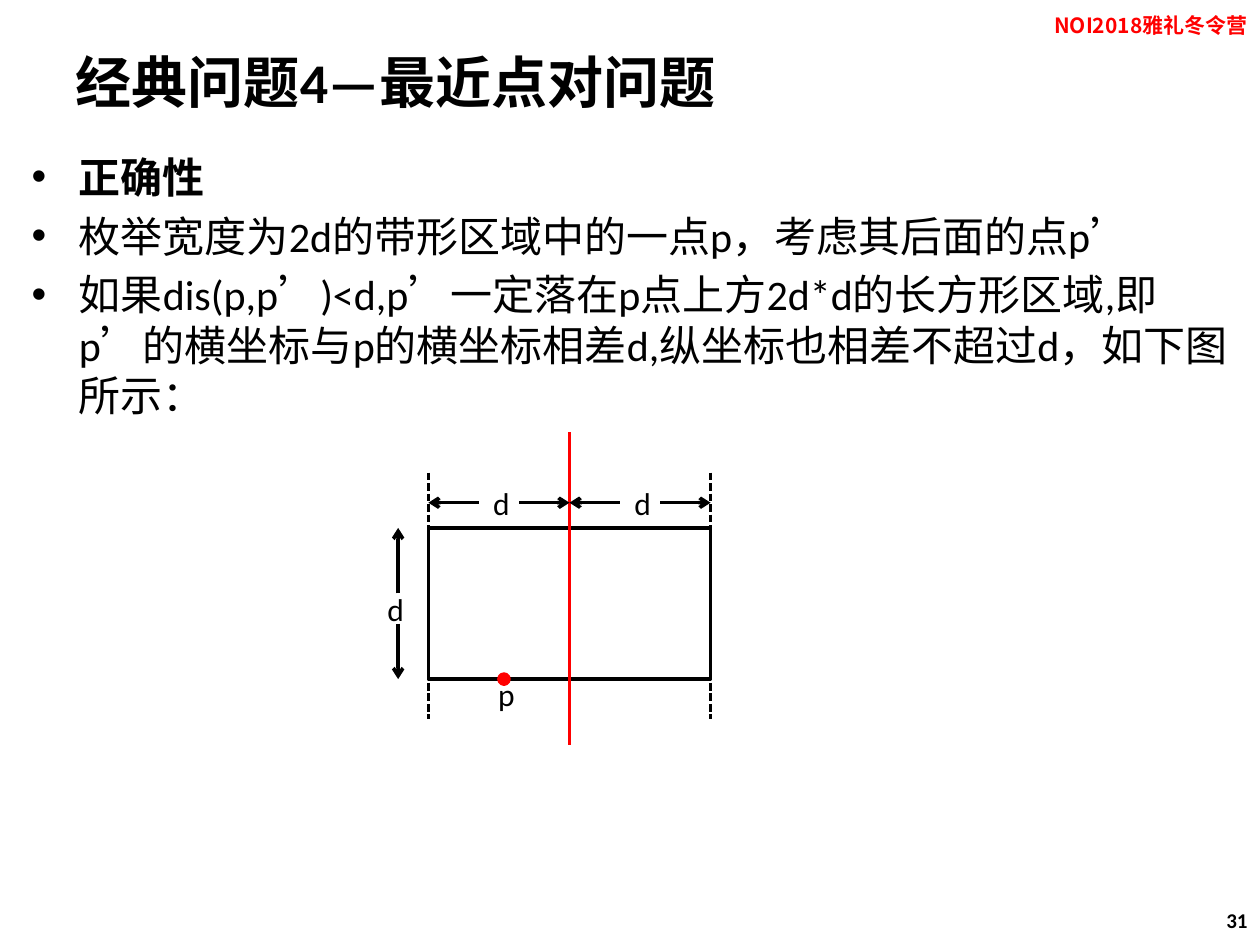
from pptx import Presentation
from pptx.dml.color import RGBColor
from pptx.enum.dml import MSO_LINE_DASH_STYLE as Dash
from pptx.enum.shapes import MSO_CONNECTOR as Connector, MSO_SHAPE as Shape
from pptx.enum.text import MSO_ANCHOR as Anchor, MSO_AUTO_SIZE as AutoSize, PP_ALIGN as Align
from pptx.oxml.ns import qn
from pptx.util import Inches, Pt
from lxml.etree import SubElement

COLORS = {"text": "000000", "accent": "FF0000"}


class SlideBuilder:
    font = "Calibri"

    def __init__(self, slide):
        self.slide = slide
        self.shapes = slide.shapes

    def color(self, name):
        return RGBColor.from_string(COLORS[name])

    def place(self, item, left, top, width, height):
        item.left, item.top = Inches(left), Inches(top)
        item.width, item.height = Inches(width), Inches(height)

    def format_runs(self, paragraph, size, bold=False, color="text", font=None):
        for run in paragraph.runs:
            run.font.name = font or self.font
            run.font.size = Pt(size)
            run.font.bold = bold
            run.font.color.rgb = self.color(color)

    def title(self, text, box):
        heading = self.shapes.title
        self.place(heading, *box)
        frame = heading.text_frame
        frame.text = text
        frame.auto_size = AutoSize.NONE
        frame.vertical_anchor = Anchor.MIDDLE
        frame.paragraphs[0].alignment = Align.LEFT
        self.format_runs(frame.paragraphs[0], 32, bold=True)

    def bullets(self, items, box):
        body = self.slide.placeholders[1]
        self.place(body, *box)
        frame = body.text_frame
        frame.text = "\n".join(items)
        frame.auto_size = AutoSize.NONE
        for index, paragraph in enumerate(frame.paragraphs):
            paragraph.space_before = Pt(4.8 if index else 0)
            self.format_runs(paragraph, 24, bold=index == 0)

    def text(self, text, box, size, align=Align.CENTER, anchor=Anchor.TOP, wrap=True, **style):
        frame = self.shapes.add_textbox(*map(Inches, box)).text_frame
        frame.word_wrap = wrap
        frame.vertical_anchor = anchor
        frame.text = text
        frame.paragraphs[0].alignment = align
        self.format_runs(frame.paragraphs[0], size, **style)

    def label(self, text, center_x, top):
        width = 0.36
        self.text(text, (center_x - width / 2, top, width, 0.4), 18, wrap=False)

    def outline(self, kind, box, color, filled=False):
        item = self.shapes.add_shape(kind, *map(Inches, box))
        item.shadow.inherit = False
        if filled:
            item.fill.solid()
            item.fill.fore_color.rgb = self.color(color)
        else:
            item.fill.background()
        item.line.color.rgb = self.color(color)
        item.line.width = Pt(2)

    def line(self, start, end, color="text", width=2, dash=None, arrow=False):
        item = self.shapes.add_connector(Connector.STRAIGHT, *map(Inches, (*start, *end)))
        item.line.color.rgb = self.color(color)
        item.line.width = Pt(width)
        if dash:
            item.line.dash_style = dash
        if arrow:
            SubElement(item.line._get_or_add_ln(), qn("a:tailEnd"), type="arrow")
        SubElement(item._element.spPr, qn("a:effectLst"))


def main():
    prs = Presentation()
    prs.slide_width, prs.slide_height = Inches(10), Inches(7.5)
    page = SlideBuilder(prs.slides.add_slide(prs.slide_layouts[1]))

    # Title and argument
    page.title("经典问题4—最近点对问题", (0.5, 0.3, 9, 0.69))
    page.bullets([
        "正确性",
        "枚举宽度为2d的带形区域中的一点p，考虑其后面的点p’",
        "如果dis(p,p’)<d,p’一定落在p点上方2d*d的长方形区域,"
        "即p’的横坐标与p的横坐标相差d,纵坐标也相差不超过d，如下图所示：",
    ], (0.15, 1.15, 9.72, 6.1))

    # Region of 2d by d, its dividing line and strip borders
    left, top, d_width, d_height = 3.4, 4.19, 1.12, 1.2
    middle, right, bottom = left + d_width, left + 2 * d_width, top + d_height
    page.outline(Shape.RECTANGLE, (left, top, 2 * d_width, d_height), "text")
    page.line((middle, 3.43), (middle, 5.91), color="accent")
    for border in (left, right):
        page.line((border, 3.75), (border, 5.71), width=1.5, dash=Dash.SQUARE_DOT)

    # Width of each half
    width_y, arrow_length = top - 0.2, 0.4
    for start in (left, middle):
        end = start + d_width
        page.line((end - arrow_length, width_y), (end, width_y), arrow=True)
        page.line((start + arrow_length, width_y), (start, width_y), arrow=True)
        page.label("d", start + 0.58, width_y - 0.2)

    # Height of the region
    height_x = left - 0.24
    page.line((height_x, 4.95), (height_x, bottom), arrow=True)
    page.line((height_x, 4.71), (height_x, top), arrow=True)
    page.label("d", height_x - 0.02, 4.63)

    # Point p on the lower edge
    point_x, radius = 4, 0.04
    page.outline(Shape.OVAL, (point_x - radius, bottom - radius, 2 * radius, 2 * radius),
                 "accent", filled=True)
    page.label("p", point_x + 0.02, bottom - 0.08)

    # Page number and event name
    page.text("31", (7.67, 7.1, 2.33, 0.4), 12, Align.RIGHT, Anchor.MIDDLE, bold=True)
    page.text("NOI2018雅礼冬令营", (6.83, 0, 3.17, 0.4), 12, Align.RIGHT, Anchor.MIDDLE,
              bold=True, color="accent", font="Noto Sans CJK SC")

    prs.save("out.pptx")


if __name__ == "__main__":
    main()
